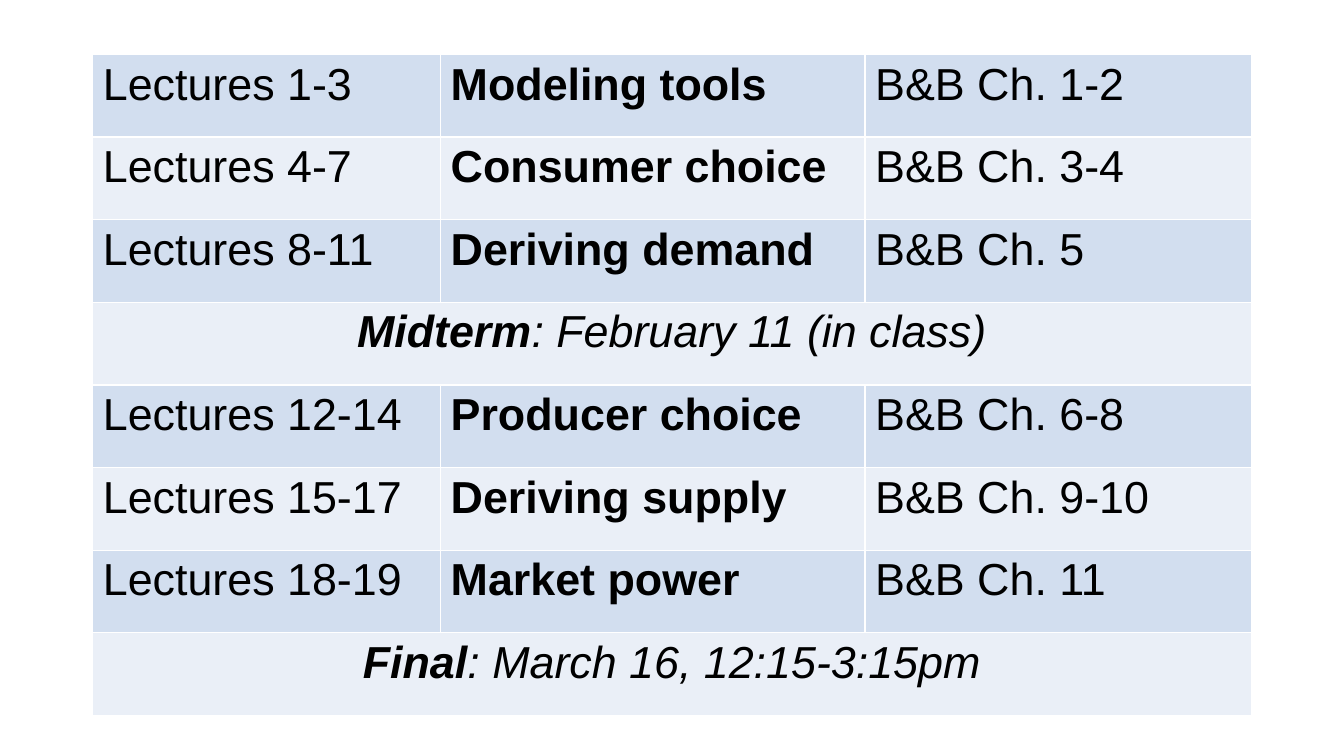
from dataclasses import dataclass

from lxml import etree
from pptx import Presentation
from pptx import util as u
from pptx.dml.color import RGBColor
from pptx.enum import text
from pptx.oxml import ns
from pptx.table import Table, _Cell


@dataclass(frozen=True)
class Theme:
    font: str = "Arial"
    size: u.Pt = u.Pt(32)
    ink: str = "000000"
    border: str = "FFFFFF"
    border_width: u.Pt = u.Pt(1)
    bands: tuple[str, str] = ("D2DEEF", "EAEFF7")


@dataclass(frozen=True)
class Unit:
    lectures: str
    topic: str
    reading: str


@dataclass(frozen=True)
class Exam:
    name: str
    date: str


THEME = Theme()
SCHEDULE: list[Unit | Exam] = [
    Unit("Lectures 1-3", "Modeling tools", "B&B Ch. 1-2"),
    Unit("Lectures 4-7", "Consumer choice", "B&B Ch. 3-4"),
    Unit("Lectures 8-11", "Deriving demand", "B&B Ch. 5"),
    Exam("Midterm", ": February 11 (in class)"),
    Unit("Lectures 12-14", "Producer choice", "B&B Ch. 6-8"),
    Unit("Lectures 15-17", "Deriving supply", "B&B Ch. 9-10"),
    Unit("Lectures 18-19", "Market power", "B&B Ch. 11"),
    Exam("Final", ": March 16, 12:15-3:15pm"),
]
COLUMN_WIDTHS = (3.45, 4.21, 3.83)
ROW_HEIGHT = 0.82


def style_cell(cell: _Cell, fill: str) -> None:
    """Draw the four borders, then the band colour."""
    properties = cell._tc.get_or_add_tcPr()
    for side in ("lnL", "lnR", "lnT", "lnB"):
        line = etree.SubElement(properties, ns.qn(f"a:{side}"), w=str(int(THEME.border_width)))
        solid = etree.SubElement(line, ns.qn("a:solidFill"))
        etree.SubElement(solid, ns.qn("a:srgbClr"), val=THEME.border)
    cell.fill.solid()
    cell.fill.fore_color.rgb = RGBColor.from_string(fill)


def write_cell(cell: _Cell, *parts: str, bold: bool = False):
    """Write each part as a run and return the paragraph."""
    para = cell.text_frame.paragraphs[0]
    for part in parts:
        para.add_run().text = part
    para.font.name = THEME.font
    para.font.size = THEME.size
    para.font.bold = bold
    para.font.color.rgb = RGBColor.from_string(THEME.ink)
    return para


def write_unit(table: Table, row: int, unit: Unit) -> None:
    write_cell(table.cell(row, 0), unit.lectures)
    write_cell(table.cell(row, 1), unit.topic, bold=True)
    write_cell(table.cell(row, 2), unit.reading)


def write_exam(table: Table, row: int, exam: Exam) -> None:
    first = table.cell(row, 0)
    first.merge(table.cell(row, len(COLUMN_WIDTHS) - 1))
    para = write_cell(first, exam.name, exam.date)
    para.alignment = text.PP_ALIGN.CENTER
    para.font.italic = True
    para.runs[0].font.bold = True


def main() -> None:
    deck = Presentation()
    deck.slide_width, deck.slide_height = u.Inches(13.33), u.Inches(7.5)
    page = deck.slides.add_slide(deck.slide_layouts[6])
    table = page.shapes.add_table(
        len(SCHEDULE), len(COLUMN_WIDTHS), u.Inches(0.92), u.Inches(0.54),
        u.Inches(sum(COLUMN_WIDTHS)), u.Inches(ROW_HEIGHT * len(SCHEDULE)),
    ).table
    table.first_row = False
    for column, width in zip(table.columns, COLUMN_WIDTHS):
        column.width = u.Inches(width)
    for row, entry in enumerate(SCHEDULE):
        table.rows[row].height = u.Inches(ROW_HEIGHT)
        for cell in table.rows[row].cells:
            style_cell(cell, THEME.bands[row % 2])
        if isinstance(entry, Exam):
            write_exam(table, row, entry)
        else:
            write_unit(table, row, entry)
    deck.save("out.pptx")


if __name__ == "__main__":
    main()
